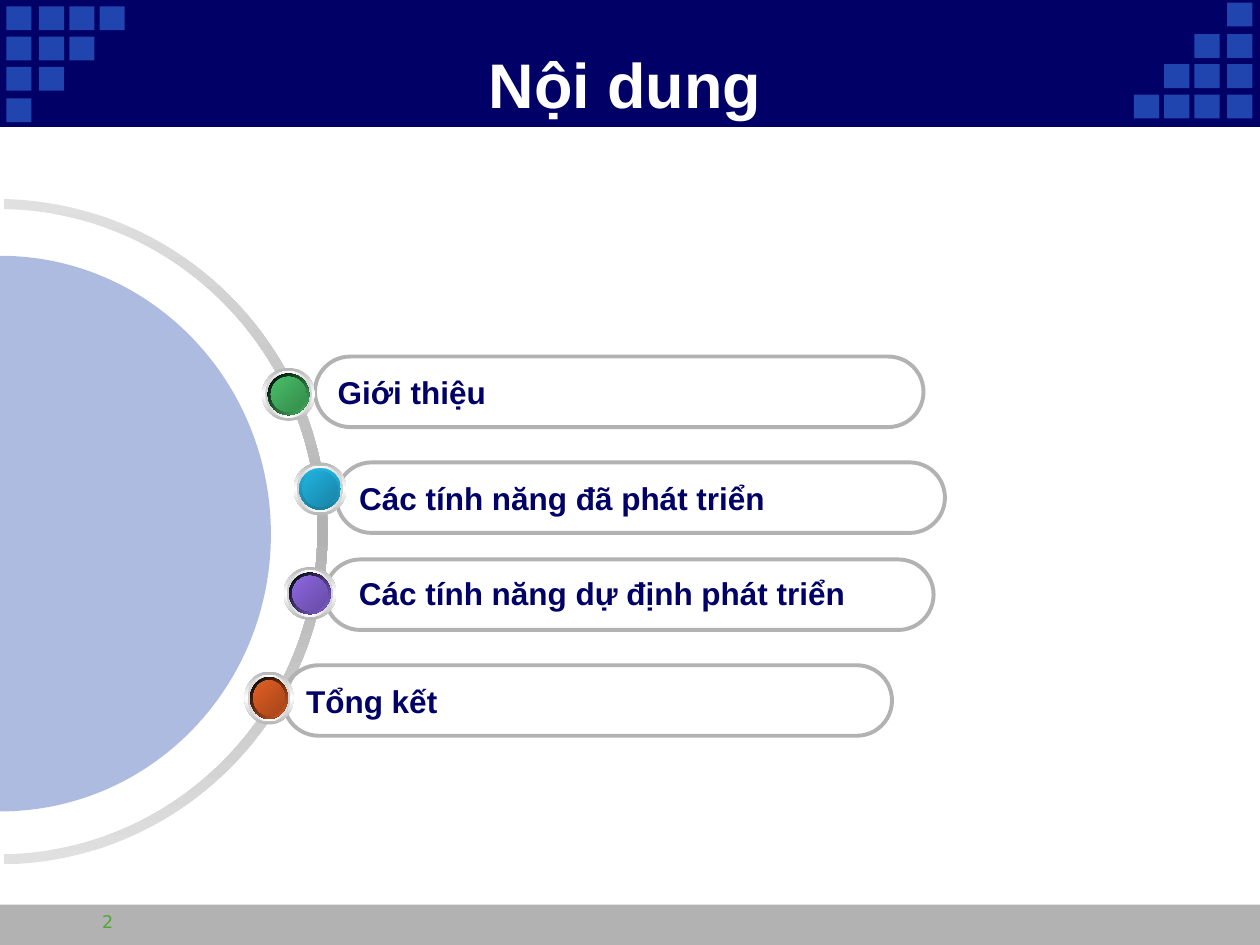
"""Build the contents slide: four agenda entries hung on a half ring."""
import copy
from lxml import etree
from pptx import Presentation
from pptx.dml.color import RGBColor
from pptx.enum import shapes, text
from pptx.oxml import ns
from pptx.util import Inches, Pt

COLORS = {"navy": "000066", "blue": "2045AE", "gray": "B2B2B2", "pale": "E0E0E0",
          "white": "FFFFFF", "green": "50A834", "rim": "B6B6B6", "inner_rim": "D1D1D1",
          "teal": "3DC5C5", "dark_teal": "2F9797", "black": "000000"}
KIND = shapes.MSO_SHAPE

deck = Presentation()
deck.slide_width, deck.slide_height = Inches(10), Inches(7.5)
slide = deck.slides.add_slide(deck.slide_layouts[6])


def paint(shape, fill=None, angle=0, line=None, width=0.75):
    """Fill with nothing, one color, or an even gradient of several."""
    shape.shadow.inherit = False
    if fill is None:
        shape.fill.background()
    elif isinstance(fill, str):
        shape.fill.solid()
        shape.fill.fore_color.rgb = RGBColor.from_string(fill)
    else:
        shape.fill.gradient()
        shape.fill.gradient_angle = -angle % 360
        stop_list = shape._element.spPr.find(".//" + ns.qn("a:gsLst"))
        while len(stop_list) < len(fill):
            stop_list.append(copy.deepcopy(stop_list[-1]))
        for i, (stop, color) in enumerate(zip(shape.fill.gradient_stops, fill)):
            stop.position = i / (len(fill) - 1)
            stop.color.rgb = RGBColor.from_string(color)
    if line:
        shape.line.color.rgb = RGBColor.from_string(line)
        shape.line.width = Pt(width)
    else:
        shape.line.fill.background()
    return shape


def write(shape, words, size, color, font="Arial", bold=True, centered=False,
          anchor=text.MSO_ANCHOR.MIDDLE, wrap=True):
    frame = shape.text_frame
    frame.word_wrap, frame.vertical_anchor = wrap, anchor
    line = frame.paragraphs[0]
    line.alignment = text.PP_ALIGN.CENTER if centered else text.PP_ALIGN.LEFT
    run = line.add_run()
    run.text = words
    for name, value in {"size": Pt(size), "name": font, "bold": bold}.items():
        setattr(run.font, name, value)
    run.font.color.rgb = RGBColor.from_string(color)


footer = slide.shapes.add_shape(KIND.RECTANGLE, 0, Inches(7.18), Inches(10), Inches(0.33))
paint(footer, COLORS["gray"])
header = slide.shapes.add_shape(KIND.RECTANGLE, 0, 0, Inches(10), Inches(1))
paint(header, COLORS["navy"], line=COLORS["navy"])

columns, rows = (0.05, 0.31, 0.55, 0.79), (0.05, 0.29, 0.53, 0.78)
for mirrored in (False, True):
    for i, top in enumerate(rows):
        for left in columns[:4 - i]:
            x, y = (9.79 - left, 0.8 - top) if mirrored else (left, top)
            square = slide.shapes.add_shape(KIND.RECTANGLE, Inches(x), Inches(y),
                                            Inches(0.2), Inches(0.19))
            paint(square, COLORS["blue"])

title = slide.shapes.add_textbox(Inches(0.92), Inches(0.35), Inches(8.08), Inches(0.62))
write(title, "N\u00f4\u0323i dung", 36, COLORS["white"], centered=True)

ring = [(0.03, 1.66), (1.41, 1.68), (2.52, 2.82), (2.52, 4.22),
        (2.52, 5.62), (1.41, 6.76), (0.03, 6.78), (0.03, 6.86),
        (1.45, 6.84), (2.6, 5.66), (2.6, 4.22), (2.6, 2.78), (1.45, 1.61), (0.03, 1.58)]
disc = [(0, 2.03), (1.19, 2.03), (2.15, 3.02), (2.15, 4.24),
        (2.15, 5.46), (1.19, 6.44), (0, 6.44)]
ring_fill = [COLORS["pale"], COLORS["gray"], COLORS["pale"]]
for outline, curve_starts, fill in ((ring, (0, 3, 7, 10), ring_fill),
                                    (disc, (0, 3), COLORS["blue"])):
    corners = [(Inches(x), Inches(y)) for x, y in outline]
    builder = slide.shapes.build_freeform(*corners[0], scale=1.0)
    builder.add_line_segments(corners[1:], close=True)
    arc = paint(builder.convert_to_shape(), fill, 90)
    steps = arc._element.spPr.findall(".//" + ns.qn("a:lnTo"))
    for start in curve_starts:
        curve = etree.Element(ns.qn("a:cubicBezTo"))
        steps[start].addprevious(curve)
        for step in steps[start:start + 3]:
            curve.append(step[0])
            step.getparent().remove(step)
tint = arc._element.spPr.find(".//" + ns.qn("a:srgbClr"))
etree.SubElement(tint, ns.qn("a:alpha"), val="36000")

entries = [
    ("Tổng kết", 2.25, 5.28),
    (None, 2.58, 4.44),
    ("Các tính năng đã phát triển", 2.67, 3.67),
    ("Giới thiệu", 2.5, 2.83),
]
for words, left, top in entries:
    pill = slide.shapes.add_shape(KIND.ROUNDED_RECTANGLE, Inches(left), Inches(top),
                                  Inches(4.83), Inches(0.56))
    pill.adjustments[0] = 0.5
    paint(pill, line=COLORS["gray"], width=2.25)
    if words:
        write(pill, words, 18, COLORS["navy"])

beads = [
    (2.08, 2.92, 0.42, "48BE67", "358B4B", COLORS["black"], "48BE67", 45),
    (2.33, 3.67, 0.42, "21B3E1", "1883A4", "21B3E1", "1880A1", 90),
    (2.25, 4.5, 0.42, "8D67E1", "674BA4", COLORS["black"], "8D67E1", 45),
    (1.94, 5.33, 0.39, "E35E23", "A6451A", COLORS["black"], "E35E23", 45),
]
for left, top, width, light, dark, edge_start, edge_end, edge_angle in beads:
    layers = [
        (0, [COLORS["rim"], COLORS["white"], COLORS["rim"]], 90),
        (0.025, [COLORS["inner_rim"], COLORS["white"], COLORS["inner_rim"]], 0),
        (0.045, [COLORS["white"], COLORS["teal"], COLORS["white"]], 45),
        (0.045, [edge_start, edge_end], edge_angle),
        (0.07, [COLORS["dark_teal"], COLORS["teal"], COLORS["dark_teal"]], 315),
        (0.07, [light, dark], 45),
    ]
    for inset, fill, angle in layers:
        bead = slide.shapes.add_shape(KIND.OVAL, Inches(left + inset), Inches(top + inset),
                                      Inches(width - 2 * inset), Inches(0.42 - 2 * inset))
        paint(bead, fill, angle)

page = slide.shapes.add_textbox(Inches(0.52), Inches(7.18), Inches(0.67), Inches(0.29))
write(page, "2", 10, COLORS["green"], "DejaVu Sans", False, True, text.MSO_ANCHOR.TOP)
plans = slide.shapes.add_textbox(Inches(2.75), Inches(4.51), Inches(4.1), Inches(0.4))
write(plans, "Các tính năng dự định phát triển", 18, COLORS["navy"],
      anchor=text.MSO_ANCHOR.TOP, wrap=False)

deck.save("out.pptx")
